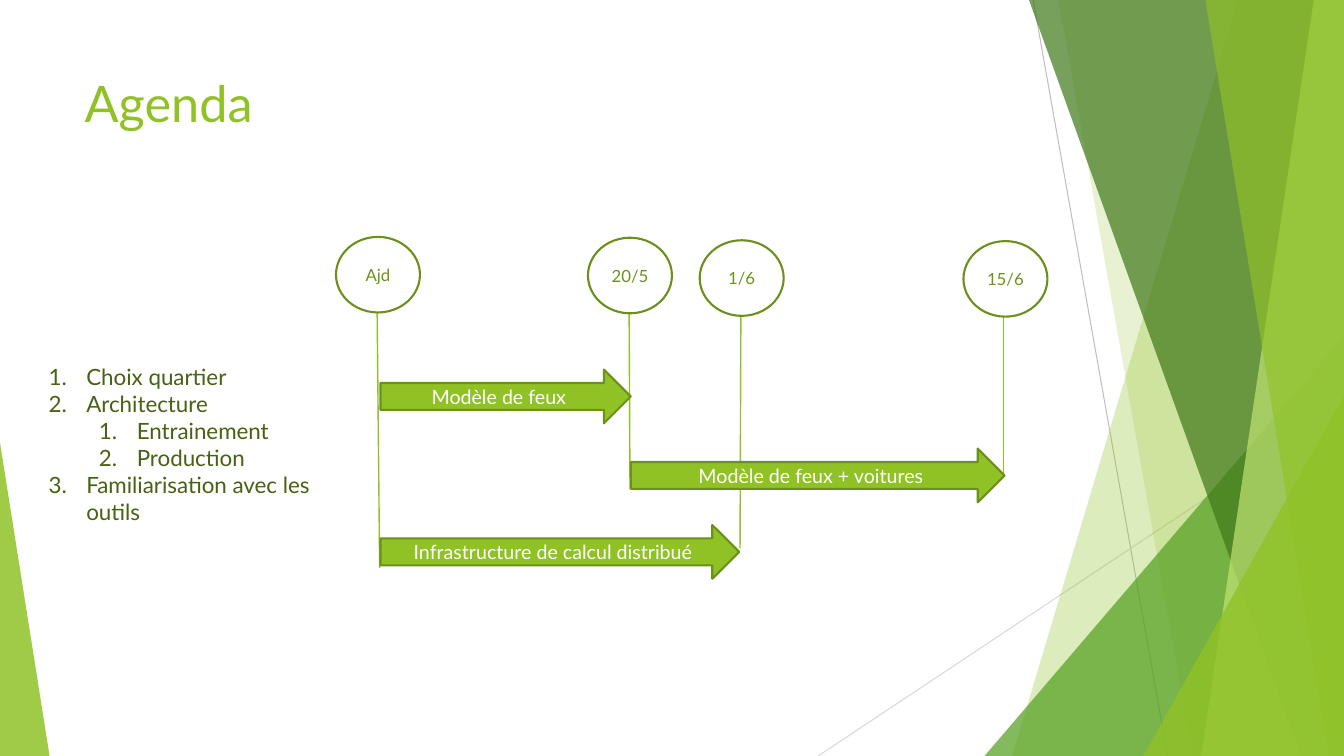
from pptx import Presentation
from pptx import util as u
from pptx.dml import color
from pptx.enum import shapes, text
from pptx.oxml import xmlchemy
from pptx.oxml.ns import qn
from lxml import etree

COLUMNS, ROWS = 160, 90
THEME = {
    "font": "Lato",
    "green": "90C226", "outline": "6B901C", "date": "6C911C", "list": "486113",
    "leaf": "54A021", "forest": "3F7819", "lime": "C0E474",
    "white": "FFFFFF", "grey": "BFBFBF", "pale": "D9D9D9",
    "title_size": 36, "list_size": 16, "arrow_size": 14, "date_size": 12,
    "hairline": 0.75, "stem": 1, "border": 1.5,
}

TITLE = "Agenda"
TITLE_BOX = (8.9, 8, 112.8, 17.3)
TASKS = [
    ("Choix quartier", 0), ("Architecture", 0),
    ("Entrainement", 1), ("Production", 1),
    ("Familiarisation avec les outils", 0),
]
TASKS_BOX = (4.6, 42.7, 37.1, 20.6)
LEVEL_INDENT, HANGING = (4.5, 10.5), 4.5

DATE_SIZE = (10, 9)
DATES = [
    {"label": "Ajd", "left": 40, "top": 28.2, "stem": (44.9, 45.2), "foot": 67.6},
    {"label": "20/5", "left": 70, "top": 28.3, "stem": (74.9, 75), "foot": 58.2},
    {"label": "1/6", "left": 83.3, "top": 28.6, "stem": (88.2, 88.1), "foot": 65.3},
    {"label": "15/6", "left": 114.7, "top": 28.7, "stem": (119.5, 119.5), "foot": 56.6},
]
ARROW_HEIGHT = 6.4
PHASES = [
    ("Modèle de feux", 45.3, 75.1, 44),
    ("Modèle de feux + voitures", 75.1, 119.6, 53.4),
    ("Infrastructure de calcul distribué", 45.3, 88, 62.5),
]

RAYS = [((123, 0), (139, ROWS), "grey"), ((COLUMNS, 48.4), (97.4, ROWS), "pale")]
FACETS = [
    {"top": (147.4, 0), "foot": 120.5, "edge": COLUMNS, "fill": "green", "opacity": 30},
    {"top": (126, 0), "foot": 142, "edge": COLUMNS, "fill": "green", "opacity": 20},
    {"top": (COLUMNS, 40), "foot": 117.2, "edge": COLUMNS, "fill": "leaf", "opacity": 72},
    {"top": (122.5, 0), "foot": 154.9, "edge": COLUMNS, "fill": "forest", "opacity": 70},
    {"top": (156.4, 0), "foot": 143, "edge": COLUMNS, "fill": "lime", "opacity": 70},
    {"top": (143.5, 0), "foot": 158.2, "edge": COLUMNS, "fill": "green", "opacity": 65},
    {"top": (COLUMNS, 47.2), "foot": 136.1, "edge": COLUMNS, "fill": "green", "opacity": 80},
    {"top": (0, 52.7), "foot": 5.9, "edge": 0, "fill": "green", "opacity": 85},
]

deck = Presentation()
deck.slide_width, deck.slide_height = u.Inches(13.33), u.Inches(7.5)
page = deck.slides.add_slide(deck.slide_layouts[6])


def across(columns):
    return round(deck.slide_width * columns / COLUMNS)


def down(rows):
    return round(deck.slide_height * rows / ROWS)


def place(left, top, width, height):
    return across(left), down(top), across(width), down(height)


def rgb(name):
    return color.RGBColor.from_string(THEME[name])


def apply(target, values):
    for name, value in values.items():
        setattr(target, name, value)


def write(para, words, size, colour):
    span = para.add_run()
    span.text = words
    apply(span.font, {"name": THEME["font"], "size": u.Pt(THEME[size])})
    span.font.color.rgb = rgb(colour)


def add_line(start, end, colour, width):
    line = page.shapes.add_connector(
        shapes.MSO_CONNECTOR.STRAIGHT,
        across(start[0]), down(start[1]), across(end[0]), down(end[1]))
    line.line.color.rgb = rgb(colour)
    line.line.width = u.Pt(THEME[width])
    etree.SubElement(line._element.spPr, qn("a:effectLst"))


def add_facet(top, foot, edge, fill, opacity):
    outline = [top, (edge, top[1]), (edge, ROWS), (foot, ROWS)]
    points = [(across(x), down(y)) for x, y in outline]
    builder = page.shapes.build_freeform(*points[0], scale=1.0)
    builder.add_line_segments(points[1:], close=True)
    facet = builder.convert_to_shape()
    facet.shadow.inherit = False
    facet.line.fill.background()
    facet.fill.solid()
    facet.fill.fore_color.rgb = rgb(fill)
    solid = facet._element.spPr.find(qn("a:solidFill"))
    etree.SubElement(solid[0], qn("a:alpha"), val=str(opacity * 1000))


def add_label(kind, box, words, size, colour, fill=None):
    shape = page.shapes.add_shape(kind, *place(*box))
    shape.shadow.inherit = False
    shape.line.color.rgb = rgb("outline")
    shape.line.width = u.Pt(THEME["border"])
    if fill:
        shape.fill.solid()
        shape.fill.fore_color.rgb = rgb(fill)
    else:
        shape.fill.background()
    apply(shape.text_frame, {
        "word_wrap": True, "vertical_anchor": text.MSO_ANCHOR.MIDDLE})
    para = shape.text_frame.paragraphs[0]
    para.alignment = text.PP_ALIGN.CENTER
    write(para, words, size, colour)


def add_text(box):
    frame = page.shapes.add_textbox(*place(*box)).text_frame
    frame.word_wrap = True
    return frame


for start, end, colour in RAYS:
    add_line(start, end, colour, "hairline")
for facet in FACETS:
    add_facet(**facet)

write(add_text(TITLE_BOX).paragraphs[0], TITLE, "title_size", "green")

for date in DATES:
    head, foot = date["stem"]
    add_line((head, date["top"] + DATE_SIZE[1]), (foot, date["foot"]), "green", "stem")
for words, start, end, top in PHASES:
    add_label(shapes.MSO_SHAPE.RIGHT_ARROW, (start, top, end - start, ARROW_HEIGHT),
              words, "arrow_size", "white", "green")
for date in DATES:
    add_label(shapes.MSO_SHAPE.OVAL, (date["left"], date["top"], *DATE_SIZE),
              date["label"], "date_size", "date")

frame = add_text(TASKS_BOX)
frame.auto_size = text.MSO_AUTO_SIZE.SHAPE_TO_FIT_TEXT
for index, (words, level) in enumerate(TASKS):
    para = frame.add_paragraph() if index else frame.paragraphs[0]
    para.level = level
    write(para, words, "list_size", "list")
    properties = para._p.get_or_add_pPr()
    properties.set("marL", str(across(LEVEL_INDENT[level])))
    properties.set("indent", str(-across(HANGING)))
    etree.SubElement(properties, qn("a:buFont"), typeface="+mj-lt")
    etree.SubElement(properties, qn("a:buAutoNum"), type="arabicPeriod")

deck.save("out.pptx")
